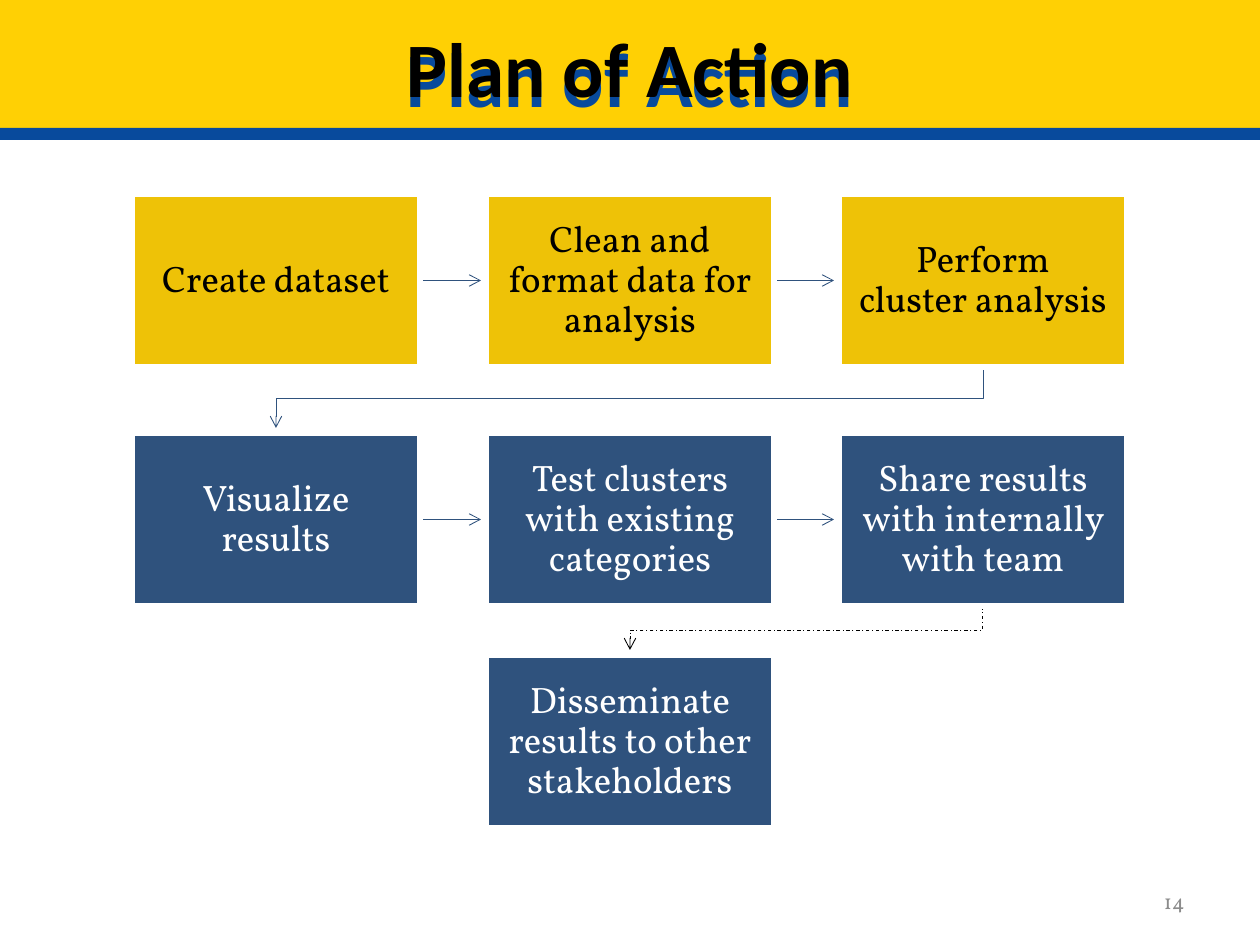
import pptx
import pptx.util
import pptx.dml.color
import pptx.enum.dml
import pptx.enum.shapes
import pptx.enum.text
import pptx.oxml
import lxml.etree

YELLOW, BLUE, GOLD, NAVY = "FFD004", "084A9C", "EEC207", "2F527D"
BLACK, WHITE, GRAY = "000000", "FFFFFF", "8C8C8C"

BANDS = [(0, 0, 1260, 128, YELLOW), (0, 128, 1260, 12, BLUE)]
TITLE = "Plan of Action"
PAGE = "14"
STEPS = [
    ("Create dataset", 0, 0, GOLD, BLACK),
    ("Clean and format data for analysis", 1, 0, GOLD, BLACK),
    ("Perform cluster analysis", 2, 0, GOLD, BLACK),
    ("Visualize results", 0, 1, NAVY, WHITE),
    ("Test clusters with existing categories", 1, 1, NAVY, WHITE),
    ("Share results with internally with team", 2, 1, NAVY, WHITE),
    ("Disseminate results to other stakeholders", 1, 2, NAVY, WHITE),
]
LEFTS, TOPS = (132, 486, 839), (194, 433, 655)
BOX_W, BOX_H, GAP = 288, 173, 5
TURNS = [((2, 0), (0, 1), 399, NAVY, False), ((2, 1), (1, 2), 630, BLACK, True)]

SCALE = 914400 / 126
NS = "http://schemas.openxmlformats.org/drawingml/2006/main"


def px(n):
    return pptx.util.Emu(round(n * SCALE))


def rgb(color):
    return pptx.dml.color.RGBColor.from_string(color)


def add_xml(parent, body):
    tag, rest = body.split(" ", 1) if " " in body.split(">")[0] else (body[:-2], "/>")
    parent.append(pptx.oxml.parse_xml(f'{tag} xmlns:a="{NS}" {rest}'))


def add_rect(x, y, w, h, fill):
    s = slide.shapes.add_shape(pptx.enum.shapes.MSO_SHAPE.RECTANGLE, px(x), px(y), px(w), px(h))
    s.shadow.inherit = False
    s.fill.solid()
    s.fill.fore_color.rgb = rgb(fill)
    s.line.fill.background()
    return s


def write(s, text, size, font, color, align, margin=None, bold=False):
    tf = s.text_frame
    tf.word_wrap = True
    tf.vertical_anchor = pptx.enum.text.MSO_ANCHOR.MIDDLE
    if margin is not None:
        tf.margin_left = tf.margin_right = tf.margin_top = tf.margin_bottom = px(margin)
    p = tf.paragraphs[0]
    p.alignment = align
    r = p.add_run()
    r.text = text
    r.font.size = pptx.util.Pt(size)
    r.font.name = font
    r.font.bold = bold
    r.font.color.rgb = rgb(color)
    return p


def style_arrow(s, color):
    s.line.color.rgb = rgb(color)
    s.line.width = pptx.util.Pt(0.5)
    add_xml(s.line._get_or_add_ln(), '<a:tailEnd type="arrow"/>')


def add_arrow(x1, y1, x2, y2, color):
    s = slide.shapes.add_connector(pptx.enum.shapes.MSO_CONNECTOR.STRAIGHT, px(x1), px(y1), px(x2), px(y2))
    style_arrow(s, color)
    add_xml(s._element.spPr, "<a:effectLst/>")


def add_turn(start, end, y, color, dashed):
    x1, y1 = LEFTS[start[0]] + BOX_W / 2, TOPS[start[1]] + BOX_H
    x2, y2 = LEFTS[end[0]] + BOX_W / 2, TOPS[end[1]] - GAP
    fb = slide.shapes.build_freeform(x1, y1, scale=SCALE)
    fb.add_line_segments([(x1, y), (x2, y), (x2, y2)], close=False)
    s = fb.convert_to_shape()
    s.shadow.inherit = False
    s.fill.background()
    if dashed:
        s.line.dash_style = pptx.enum.dml.MSO_LINE.DASH_DOT
    style_arrow(s, color)


prs = pptx.Presentation()
prs.slide_width, prs.slide_height = px(1260), px(945)
slide = prs.slides.add_slide(prs.slide_layouts[6])
ALIGN = pptx.enum.text.PP_ALIGN

for band in BANDS:
    add_rect(*band)

s = slide.shapes.add_textbox(px(903), px(876), px(294), px(50))
write(s, PAGE, 12, "Vollkorn", GRAY, ALIGN.RIGHT)

for row in (0, 1):
    y = TOPS[row] + BOX_H / 2
    for left, right in zip(LEFTS, LEFTS[1:]):
        add_arrow(left + BOX_W, y, right - GAP, y, NAVY)
for turn in TURNS:
    add_turn(*turn)

for text, col, row, fill, color in STEPS:
    s = add_rect(LEFTS[col], TOPS[row], BOX_W, BOX_H, fill)
    s.line.color.rgb = rgb(WHITE)
    s.line.width = pptx.util.Pt(3.78)
    p = write(s, text, 21, "Vollkorn", color, ALIGN.CENTER, margin=20)
    p.line_spacing = 0.9

s = slide.shapes.add_textbox(0, px(19), px(1260), px(96))
write(s, TITLE, 44, "Calibri", BLACK, ALIGN.CENTER, bold=True)
add_xml(s._element.spPr, '<a:effectLst ><a:outerShdw dist="72000" dir="5400000" algn="t" rotWithShape="0">'
        f'<a:srgbClr val="{BLUE}"/></a:outerShdw></a:effectLst>')

prs.save("out.pptx")
